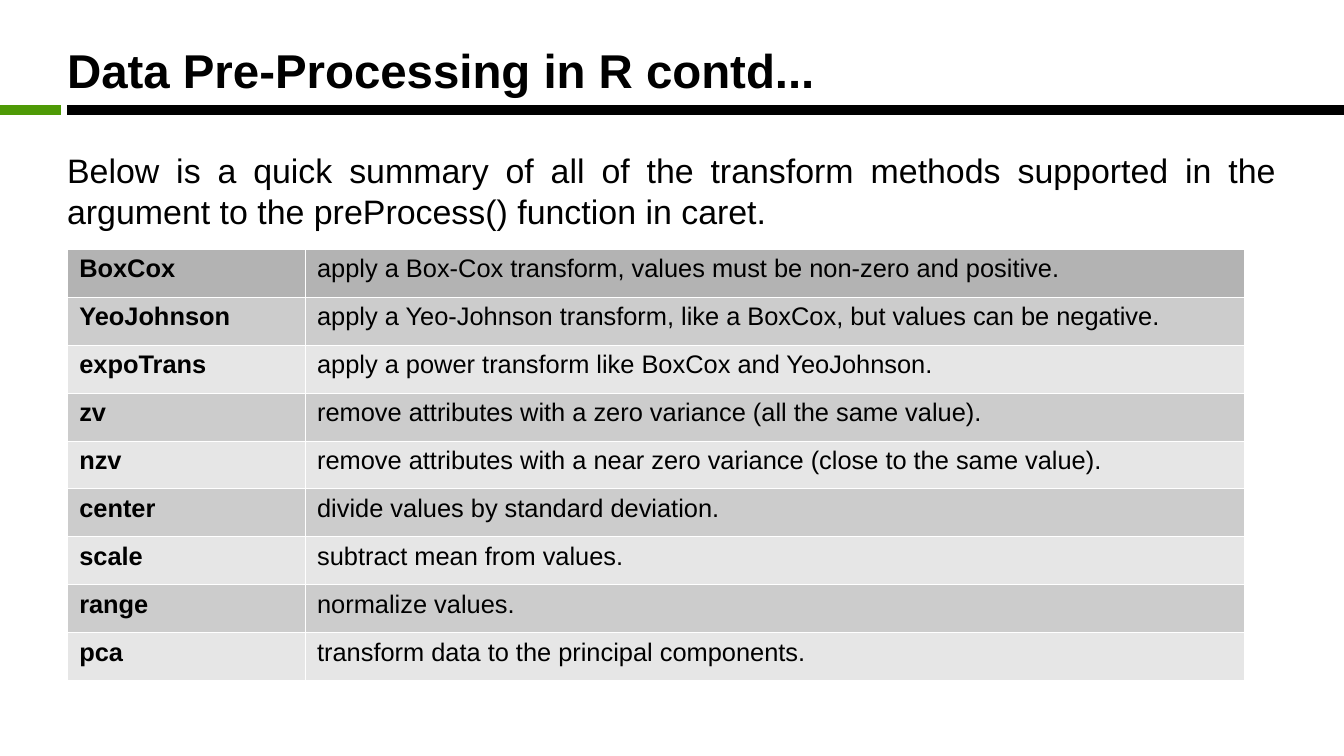
"""Build a slide that summarises the transform methods of preProcess() in caret."""
from dataclasses import dataclass

from lxml import etree
from pptx import Presentation
from pptx import util as u
from pptx.dml.color import RGBColor
from pptx.enum import shapes, text
from pptx.oxml.ns import qn


@dataclass(frozen=True)
class Theme:
    """Colours, font and type sizes of the slide."""
    font: str = "Arial"
    ink: str = "000000"
    accent: str = "4E9A06"
    border: str = "FFFFFF"
    header: str = "B3B3B3"
    bands: tuple = ("CCCCCC", "E6E6E6")
    title_size: int = 28
    body_size: int = 20
    table_size: int = 15
    rule_width: int = 6
    border_width: float = 0.06


THEME = Theme()
MARGIN = 0.55
TEXT_WIDTH = 9.92
SLIDE_WIDTH = 11.02
RULE_TOP = 0.9
TABLE_TOP = 2.04
TABLE_HEIGHT = 3.54
COLUMN_WIDTHS = (1.95, 7.7)
TITLE = "Data Pre-Processing in R contd..."
SUMMARY = ("Below is a quick summary of all of the transform methods supported "
           "in the argument to the preProcess() function in caret.")
METHODS = (
    ("BoxCox", "apply a Box-Cox transform, values must be non-zero and positive."),
    ("YeoJohnson", "apply a Yeo-Johnson transform, like a BoxCox, but values can be negative."),
    ("expoTrans", "apply a power transform like BoxCox and YeoJohnson."),
    ("zv", "remove attributes with a zero variance (all the same value)."),
    ("nzv", "remove attributes with a near zero variance (close to the same value)."),
    ("center", "divide values by standard deviation."),
    ("scale", "subtract mean from values."),
    ("range", "normalize values."),
    ("pca", "transform data to the principal components."),
)


def add_run(paragraph, words, size, bold=False):
    """Append a run in the theme font."""
    run = paragraph.add_run()
    run.text = words
    run.font.name = THEME.font
    run.font.size = u.Pt(size)
    run.font.bold = bold
    run.font.color.rgb = RGBColor.from_string(THEME.ink)


def add_text(slide, words, top, height, size, bold=False,
             align=text.PP_ALIGN.LEFT, anchor=text.MSO_ANCHOR.TOP):
    """Add a text box without insets across the text column."""
    shape = slide.shapes.add_textbox(u.Inches(MARGIN), u.Inches(top),
                                     u.Inches(TEXT_WIDTH), u.Inches(height))
    frame = shape.text_frame
    frame.word_wrap = True
    frame.vertical_anchor = anchor
    frame.margin_left = frame.margin_right = frame.margin_top = frame.margin_bottom = 0
    paragraph = frame.paragraphs[0]
    paragraph.alignment = align
    add_run(paragraph, words, size, bold)


def add_rule(slide, start, end, color):
    """Add a thick horizontal rule under the title."""
    rule = slide.shapes.add_connector(
        shapes.MSO_CONNECTOR.STRAIGHT, u.Inches(start), u.Inches(RULE_TOP),
        u.Inches(end), u.Inches(RULE_TOP))
    rule.line.color.rgb = RGBColor.from_string(color)
    rule.line.width = u.Pt(THEME.rule_width)
    properties = rule._element.find(qn("p:spPr"))
    etree.SubElement(properties, qn("a:effectLst"))


def set_borders(cell):
    """Draw a hairline on the four sides of a cell."""
    properties = cell._tc.get_or_add_tcPr()
    for index, side in enumerate(("a:lnL", "a:lnR", "a:lnT", "a:lnB")):
        line = etree.Element(qn(side), w=str(u.Pt(THEME.border_width)))
        fill = etree.SubElement(line, qn("a:solidFill"))
        etree.SubElement(fill, qn("a:srgbClr"), val=THEME.border)
        properties.insert(index, line)


def add_methods_table(slide):
    """Add the table of methods with a dark first row and banded rows below."""
    table = slide.shapes.add_table(
        len(METHODS), len(COLUMN_WIDTHS), u.Inches(MARGIN), u.Inches(TABLE_TOP),
        u.Inches(sum(COLUMN_WIDTHS)), u.Inches(TABLE_HEIGHT)).table
    table.first_row = table.horz_banding = False
    for column, width in zip(table.columns, COLUMN_WIDTHS):
        column.width = u.Inches(width)
    for row, method in enumerate(METHODS):
        color = THEME.bands[(row - 1) % 2] if row else THEME.header
        for column, words in enumerate(method):
            cell = table.cell(row, column)
            cell.fill.solid()
            cell.fill.fore_color.rgb = RGBColor.from_string(color)
            set_borders(cell)
            add_run(cell.text_frame.paragraphs[0], words, THEME.table_size, column == 0)


def main():
    """Build and save the slide."""
    presentation = Presentation()
    presentation.slide_width = u.Inches(SLIDE_WIDTH)
    presentation.slide_height = u.Inches(6.2)
    slide = presentation.slides.add_slide(presentation.slide_layouts[6])
    add_text(slide, TITLE, 0.25, 0.64, THEME.title_size, bold=True,
             anchor=text.MSO_ANCHOR.MIDDLE)
    add_text(slide, SUMMARY, 1.23, 0.7, THEME.body_size, align=text.PP_ALIGN.JUSTIFY)
    add_rule(slide, MARGIN, SLIDE_WIDTH, THEME.ink)
    add_rule(slide, 0, 0.5, THEME.accent)
    add_methods_table(slide)
    presentation.save("out.pptx")


if __name__ == "__main__":
    main()
